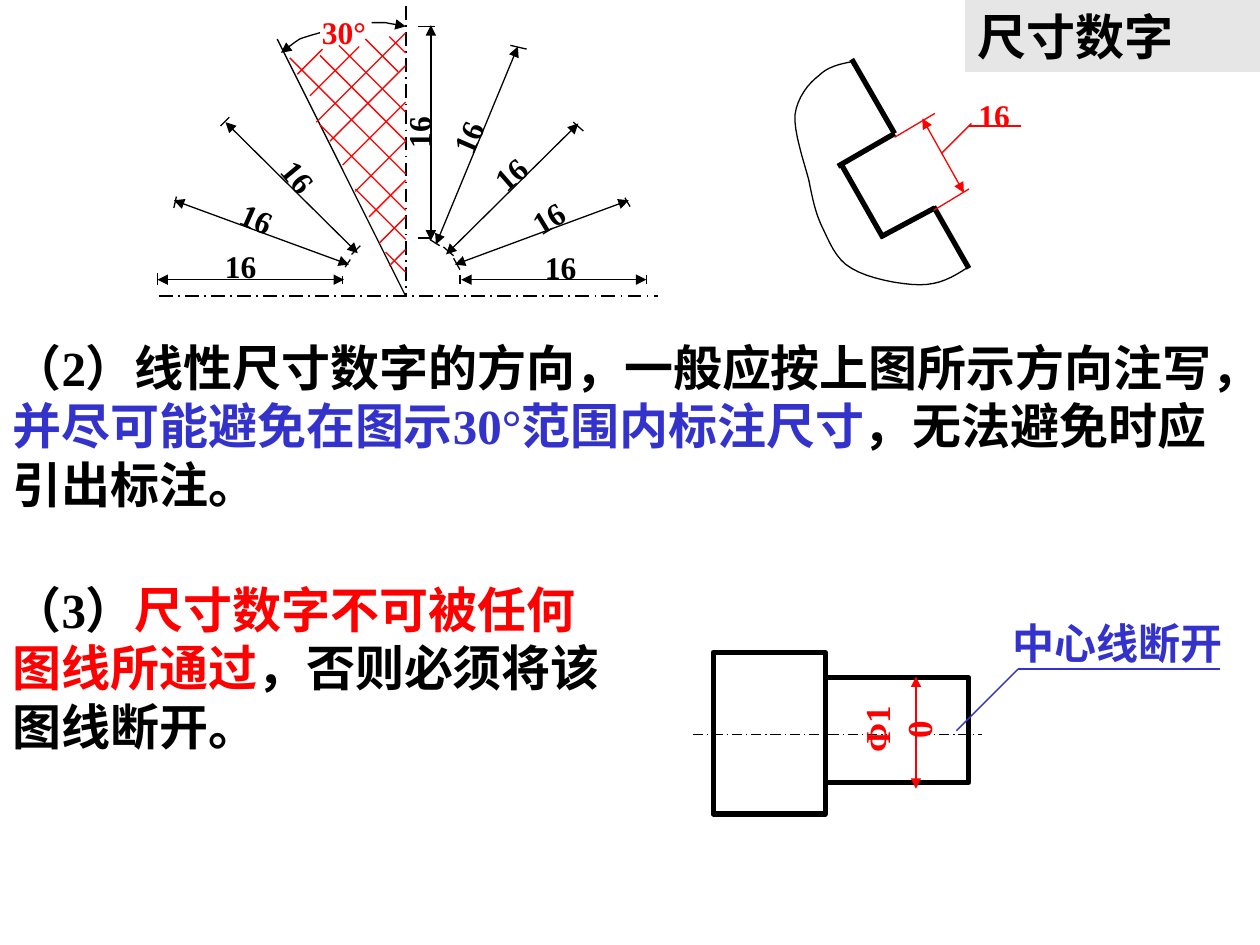
from dataclasses import dataclass
from typing import Optional

import pptx
import pptx.dml.color
import pptx.enum.dml
import pptx.enum.shapes
import pptx.enum.text
import pptx.oxml.ns
import pptx.util
from lxml import etree

Inches = pptx.util.Inches
Pt = pptx.util.Pt
qn = pptx.oxml.ns.qn
RGBColor = pptx.dml.color.RGBColor
Align = pptx.enum.text.PP_ALIGN

BLACK = RGBColor(0x00, 0x00, 0x00)
RED = RGBColor(0xFF, 0x00, 0x00)
BLUE = RGBColor(0x33, 0x33, 0xCC)
GREY = RGBColor(0xE6, 0xE6, 0xE6)
LATIN = "Times New Roman"
HAN = "Noto Sans CJK SC"

Point = tuple[float, float]
Segment = tuple[Point, Point]


@dataclass
class Stroke:
    color: RGBColor = BLACK
    width: float = 0.75
    dashed: bool = False
    head: bool = False
    tail: bool = False


@dataclass
class Label:
    text: str
    center: Point
    color: RGBColor = BLACK
    size: float = 18
    rotation: float = 0
    extent: Point = (0.45, 0.4)


@dataclass
class Dimension:
    """A measured length with its two end ticks and its number."""
    arrow: Segment
    ticks: tuple[Segment, Segment]
    label: Label


THIN = Stroke()
THICK = Stroke(width=3)
RED_THIN = Stroke(RED)
BLUE_THIN = Stroke(BLUE)
AXIS = Stroke(width=1, dashed=True)
THIN_AXIS = Stroke(dashed=True)
MEASURE = Stroke(head=True, tail=True)
RED_MEASURE = Stroke(RED, head=True, tail=True)
POINTER = Stroke(tail=True)

FAN = [
    Dimension(((1.25, 2.22), (2.73, 2.22)),
              (((1.25, 2.17), (1.25, 2.26)), ((2.72, 2.19), (2.72, 2.25))),
              Label("16", (1.91, 2.11))),
    Dimension(((2.77, 2.1), (1.38, 1.59)),
              (((2.78, 2.06), (2.74, 2.12)), ((1.4, 1.56), (1.38, 1.65))),
              Label("16", (2.04, 1.73), rotation=23.7)),
    Dimension(((2.84, 2.01), (1.79, 0.97)),
              (((2.86, 1.95), (2.79, 2.02)), ((1.75, 1), (1.82, 0.93))),
              Label("16", (2.37, 1.4), rotation=50.3)),
    Dimension(((3.42, 1.91), (3.42, 0.2)),
              (((3.32, 1.89), (3.43, 1.89)), ((3.32, 0.21), (3.45, 0.21))),
              Label("16", (3.32, 1.05), rotation=270)),
    Dimension(((3.46, 1.94), (4.11, 0.37)),
              (((3.41, 1.9), (3.49, 1.95)), ((4.05, 0.36), (4.18, 0.39))),
              Label("16", (3.71, 1.09), rotation=293.3)),
    Dimension(((3.54, 2.02), (4.59, 0.98)),
              (((3.52, 1.96), (3.6, 2.03)), ((4.55, 0.97), (4.63, 1.04))),
              Label("16", (4.05, 1.38), rotation=318.8)),
    Dimension(((3.61, 2.1), (4.99, 1.59)),
              (((3.6, 2.05), (3.65, 2.14)), ((4.96, 1.57), (5, 1.64))),
              Label("16", (4.35, 1.73), rotation=328.8)),
    Dimension(((3.66, 2.22), (5.13, 2.22)),
              (((3.65, 2.18), (3.65, 2.25)), ((5.13, 2.18), (5.13, 2.25))),
              Label("16", (4.45, 2.12))),
]

# Hatching at 45 degrees: right end x, right end y, horizontal run to the left
HATCH_FALLING_LEFT = [
    (3.22, 0.26, 0.71), (3.22, 0.52, 0.6), (3.22, 0.81, 0.5),
    (3.22, 1.12, 0.4), (3.22, 1.43, 0.29), (3.22, 1.72, 0.21),
    (3.22, 1.98, 0.13), (2.85, 0.37, 0.39), (2.56, 0.39, 0.2)]
HATCH_RISING_LEFT = [
    (3.22, 0.42, 0.13), (3.16, 0.57, 0.26), (3.22, 0.89, 0.53),
    (3.22, 1.12, 0.68), (3.22, 1.38, 0.92), (3.22, 1.67, 0.68),
    (3.22, 1.9, 0.4), (3.22, 2.16, 0.16)]

# Cubic curves: a start point, then two controls and an end for each piece
ARC_LEFT = [(2.54, 0.26), (2.51, 0.27), (2.43, 0.29), (2.38, 0.31),
            (2.33, 0.34), (2.26, 0.4), (2.23, 0.42)]
ARC_RIGHT = [(2.95, 0.18), (2.97, 0.18), (3.02, 0.18), (3.06, 0.18),
             (3.1, 0.19), (3.18, 0.2), (3.22, 0.21)]
BREAK_EDGE = [
    (6.76, 0.49), (6.66, 0.51), (6.57, 0.53), (6.5, 0.6),
    (6.42, 0.66), (6.33, 0.77), (6.31, 0.91),
    (6.3, 1.05), (6.38, 1.28), (6.42, 1.43),
    (6.45, 1.58), (6.47, 1.68), (6.52, 1.79),
    (6.58, 1.91), (6.63, 2.06), (6.76, 2.13),
    (6.89, 2.21), (7.15, 2.26), (7.3, 2.26),
    (7.46, 2.26), (7.56, 2.2), (7.67, 2.13)]
NOTCH = [((6.76, 0.47), (7.1, 1.06)), ((7.1, 1.06), (6.65, 1.32)),
         ((6.68, 1.31), (7.01, 1.89)), ((7.42, 1.65), (6.99, 1.88)),
         ((7.41, 1.64), (7.69, 2.13))]


def apply_stroke(line, stroke: Stroke) -> None:
    line.color.rgb = stroke.color
    line.width = Pt(stroke.width)
    if stroke.dashed:
        line.dash_style = pptx.enum.dml.MSO_LINE.LONG_DASH_DOT
    properties = line._get_or_add_ln()
    for tag, wanted in (("a:headEnd", stroke.head), ("a:tailEnd", stroke.tail)):
        if wanted:
            etree.SubElement(properties, qn(tag), type="triangle")


def draw_line(shapes, segment: Segment, stroke: Stroke = THIN) -> None:
    (x1, y1), (x2, y2) = segment
    connector = shapes.add_connector(
        pptx.enum.shapes.MSO_CONNECTOR.STRAIGHT,
        Inches(x1), Inches(y1), Inches(x2), Inches(y2))
    apply_stroke(connector.line, stroke)
    etree.SubElement(connector._element.spPr, qn("a:effectLst"))


def draw_curve(shapes, knots: list[Point], stroke: Stroke, steps: int = 8) -> None:
    """Draw joined cubic pieces as a fine open polyline."""
    points = []
    for i in range(0, len(knots) - 1, 3):
        for t in (step / steps for step in range(1, steps + 1)):
            weights = ((1 - t) ** 3, 3 * t * (1 - t) ** 2, 3 * t * t * (1 - t), t ** 3)
            points.append(tuple(
                Inches(sum(w * knot[axis] for w, knot in zip(weights, knots[i:i + 4])))
                for axis in (0, 1)))
    builder = shapes.build_freeform(Inches(knots[0][0]), Inches(knots[0][1]))
    builder.add_line_segments(points, close=False)
    curve = builder.convert_to_shape()
    curve.fill.background()
    curve.shadow.inherit = False
    apply_stroke(curve.line, stroke)


def draw_box(shapes, left: float, top: float, width: float, height: float) -> None:
    box = shapes.add_shape(pptx.enum.shapes.MSO_SHAPE.RECTANGLE, Inches(left),
                           Inches(top), Inches(width), Inches(height))
    box.fill.background()
    box.shadow.inherit = False
    apply_stroke(box.line, THICK)


def format_run(run, size: float, color: RGBColor, latin: str = LATIN) -> None:
    run.font.size = Pt(size)
    run.font.bold = True
    run.font.name = latin
    run.font.color.rgb = color
    etree.SubElement(run._r.get_or_add_rPr(), qn("a:ea"), typeface=HAN)


def draw_label(shapes, label: Label) -> None:
    width, height = label.extent
    x, y = label.center
    caption = shapes.add_textbox(Inches(x - width / 2), Inches(y - height / 2),
                                 Inches(width), Inches(height))
    caption.rotation = label.rotation
    frame = caption.text_frame
    frame.word_wrap = False
    frame.vertical_anchor = pptx.enum.text.MSO_ANCHOR.MIDDLE
    frame.text = label.text
    frame.paragraphs[0].alignment = Align.CENTER
    format_run(frame.paragraphs[0].runs[0], label.size, label.color)


def fill_placeholder(holder, area: tuple[float, float, float, float],
                     parts: list[tuple[str, RGBColor]], latin: str = LATIN,
                     spacing: Optional[float] = None) -> None:
    holder.left, holder.top, holder.width, holder.height = map(Inches, area)
    frame = holder.text_frame
    frame.word_wrap = True
    frame.auto_size = pptx.enum.text.MSO_AUTO_SIZE.NONE
    frame.vertical_anchor = pptx.enum.text.MSO_ANCHOR.MIDDLE
    paragraph = frame.paragraphs[0]
    paragraph.alignment = Align.LEFT
    paragraph.space_before = Pt(0)
    if spacing:
        paragraph.line_spacing = Pt(spacing)
    properties = paragraph._p.get_or_add_pPr()
    properties.set("marL", "0")
    properties.set("indent", "0")
    etree.SubElement(properties, qn("a:buNone"))
    for text, color in parts:
        run = paragraph.add_run()
        run.text = text
        format_run(run, 28, color, latin)


def draw_direction_fan(shapes) -> None:
    draw_line(shapes, ((1.26, 2.35), (5.22, 2.35)), AXIS)
    draw_line(shapes, ((3.22, 0.05), (3.22, 2.35)), AXIS)
    draw_line(shapes, ((3.22, 2.35), (2.2, 0.31)))
    for slope, hatch in ((1, HATCH_FALLING_LEFT), (-1, HATCH_RISING_LEFT)):
        for x, y, run in hatch:
            draw_line(shapes, ((x, y), (x - run, y + slope * run)), RED_THIN)
    for arc in (ARC_LEFT, ARC_RIGHT):
        draw_curve(shapes, arc, POINTER)
    for dimension in FAN:
        draw_line(shapes, dimension.arrow, MEASURE)
        for tick in dimension.ticks:
            draw_line(shapes, tick)
        draw_label(shapes, dimension.label)
    draw_label(shapes, Label("30°", (2.73, 0.25), RED, extent=(0.55, 0.4)))


def draw_notched_part(shapes) -> None:
    draw_curve(shapes, BREAK_EDGE, THIN)
    for edge in NOTCH:
        draw_line(shapes, edge, THICK)
    for extension in (((7.1, 1.09), (7.42, 0.9)), ((7.41, 1.67), (7.69, 1.5)),
                      ((7.47, 1.22), (7.71, 0.98)), ((7.69, 1), (8.1, 1))):
        draw_line(shapes, extension, RED_THIN)
    draw_line(shapes, ((7.32, 0.94), (7.65, 1.53)), RED_MEASURE)
    draw_label(shapes, Label("16", (7.89, 0.91), RED))


def draw_shaft(shapes) -> None:
    draw_box(shapes, 5.66, 5.18, 0.89, 1.28)
    draw_box(shapes, 6.55, 5.38, 1.14, 0.83)
    draw_line(shapes, ((7.27, 5.37), (7.27, 6.26)), RED_MEASURE)
    for start, end in ((5.5, 7.04), (7.3, 7.79)):
        draw_line(shapes, ((start, 5.83), (end, 5.83)), THIN_AXIS)
    draw_label(shapes, Label("Φ10", (7.12, 5.79), RED, 20, 270, (0.69, 0.43)))
    draw_line(shapes, ((7.59, 5.8), (8.08, 5.31)), BLUE_THIN)
    draw_line(shapes, ((8.08, 5.31), (9.68, 5.31)), BLUE_THIN)
    draw_label(shapes, Label("中心线断开", (8.87, 5.1), BLUE, 24, extent=(1.88, 0.5)))


def main() -> None:
    deck = pptx.Presentation()
    deck.slide_width, deck.slide_height = Inches(10), Inches(7.5)
    slide = deck.slides.add_slide(deck.slide_layouts.get_by_name("Two Content"))
    title, direction_rule, crossing_rule = list(slide.placeholders)[:3]

    title.fill.solid()
    title.fill.fore_color.rgb = GREY
    fill_placeholder(title, (7.66, 0, 2.34, 0.57), [("尺寸数字", BLACK)], HAN)
    fill_placeholder(direction_rule, (0, 2.62, 10, 1.51), [
        ("（2）线性尺寸数字的方向，一般应按上图所示方向注写，", BLACK),
        ("并尽可能避免在图示30°范围内标注尺寸", BLUE),
        ("，无法避免时应引出标注。", BLACK)], spacing=33.5)
    fill_placeholder(crossing_rule, (0, 4.54, 5.04, 1.51), [
        ("（3）", BLACK), ("尺寸数字不可被任何图线所通过", RED),
        ("，否则必须将该图线断开。", BLACK)], spacing=33.5)

    for draw_figure in (draw_direction_fan, draw_notched_part, draw_shaft):
        draw_figure(slide.shapes.add_group_shape().shapes)
    deck.save("out.pptx")


if __name__ == "__main__":
    main()
